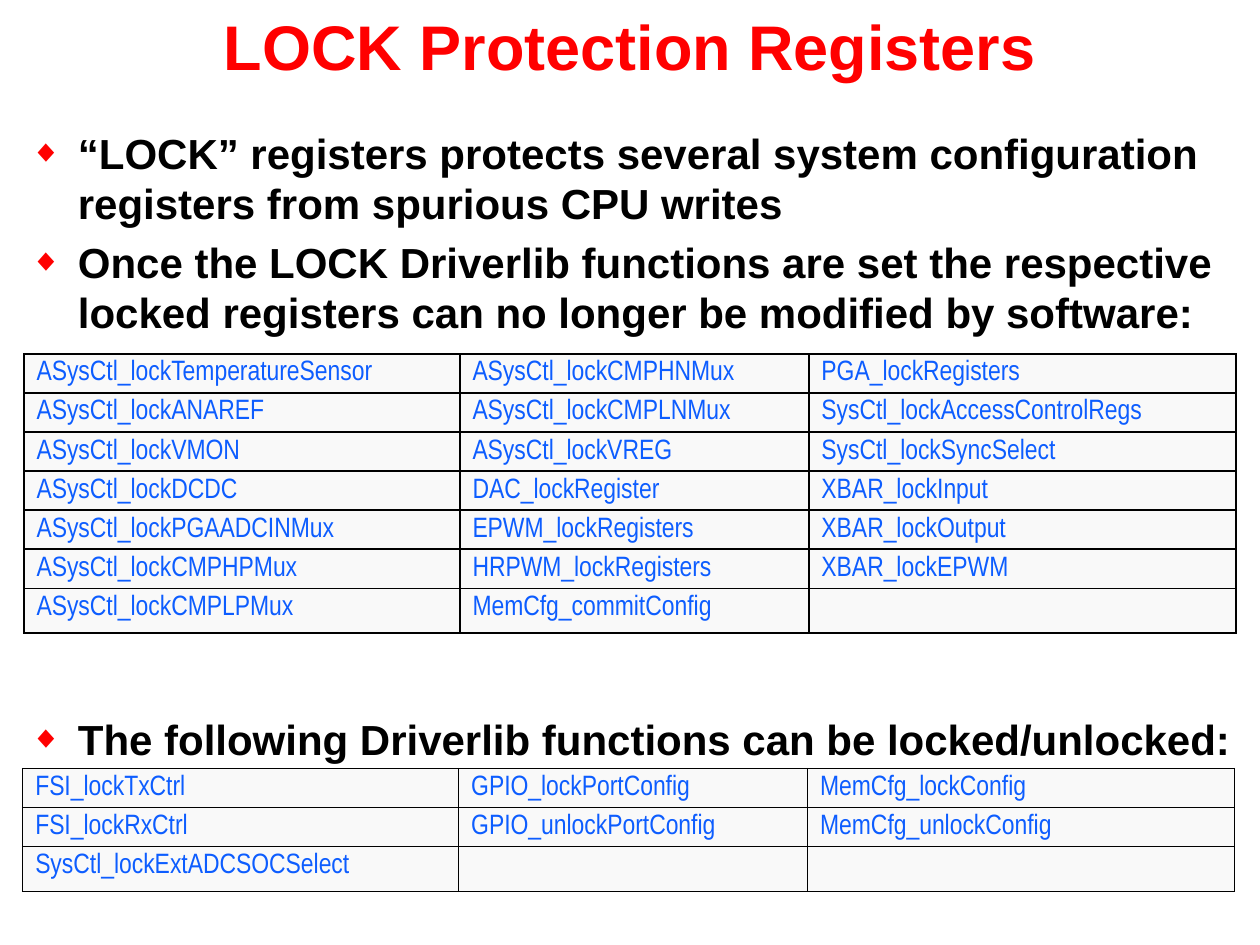
from lxml import etree
from pptx import Presentation
from pptx import util as u
from pptx.dml.color import RGBColor
from pptx.enum import text
from pptx.oxml.ns import qn

COLORS = {"red": "FF0000", "black": "000000", "blue": "0D5DFF", "cell": "F9F9F9"}
TITLE = {"size": u.Pt(36), "name": "Arial", "bold": True, "color": "red"}
BODY = {"size": u.Pt(24), "name": "Arial", "bold": True, "color": "black"}
CODE = {"size": u.Pt(16), "name": "Arial Narrow", "bold": False, "color": "blue"}
COLUMNS = (3.46, 2.77, 3.39)

LOCK_ONCE = [
    ("ASysCtl_lockTemperatureSensor", "ASysCtl_lockCMPHNMux", "PGA_lockRegisters"),
    ("ASysCtl_lockANAREF", "ASysCtl_lockCMPLNMux", "SysCtl_lockAccessControlRegs"),
    ("ASysCtl_lockVMON", "ASysCtl_lockVREG", "SysCtl_lockSyncSelect"),
    ("ASysCtl_lockDCDC", "DAC_lockRegister", "XBAR_lockInput"),
    ("ASysCtl_lockPGAADCINMux", "EPWM_lockRegisters", "XBAR_lockOutput"),
    ("ASysCtl_lockCMPHPMux", "HRPWM_lockRegisters", "XBAR_lockEPWM"),
    ("ASysCtl_lockCMPLPMux", "MemCfg_commitConfig", ""),
]
LOCK_UNLOCK = [
    ("FSI_lockTxCtrl", "GPIO_lockPortConfig", "MemCfg_lockConfig"),
    ("FSI_lockRxCtrl", "GPIO_unlockPortConfig", "MemCfg_unlockConfig"),
    ("SysCtl_lockExtADCSOCSelect", "", ""),
]


def add(parent, tag, **attrs):
    """Append a DrawingML element and return it."""
    return etree.SubElement(parent, qn(tag), attrs)


def add_run(p, words, style):
    """Add a run with the given font values."""
    r = p.add_run()
    r.text = words
    for key, value in style.items():
        if key == "color":
            r.font.color.rgb = RGBColor.from_string(COLORS[value])
        else:
            setattr(r.font, key, value)


def space_before(p, percent):
    """Set paragraph spacing relative to the text size."""
    add(add(p._p.get_or_add_pPr(), "a:spcBef"), "a:spcPct", val=str(percent * 1000))


def add_box(s, box):
    """Add a wrapping text box and return its text frame."""
    tf = s.shapes.add_textbox(*map(u.Inches, box)).text_frame
    tf.word_wrap = True
    return tf


def add_title(s, box, words):
    """Place the centred slide title."""
    tf = add_box(s, box)
    tf.vertical_anchor = text.MSO_ANCHOR.TOP
    tf.margin_top = u.Inches(0.06)
    p = tf.paragraphs[0]
    p.alignment = text.PP_ALIGN.CENTER
    add_run(p, words, TITLE)


def add_bullets(s, box, lines):
    """Place paragraphs with red diamond bullets."""
    tf = add_box(s, box)
    for i, line in enumerate(lines):
        p = tf.add_paragraph() if i else tf.paragraphs[0]
        space_before(p, 20)
        pPr = p._p.get_or_add_pPr()
        pPr.set("marL", str(u.Inches(0.38)))
        pPr.set("indent", str(u.Inches(-0.38)))
        add(add(pPr, "a:buClr"), "a:srgbClr", val=COLORS["red"])
        add(pPr, "a:buSzPct", val="75000")
        add(pPr, "a:buFont", typeface="Arial")
        add(pPr, "a:buChar", char="◆")
        add_run(p, line, BODY)


def style_cell(cell):
    """Give a cell thin black borders, a pale fill and tight margins."""
    tcPr = cell._tc.get_or_add_tcPr()
    for side in ("a:lnL", "a:lnR", "a:lnT", "a:lnB"):
        ln = add(tcPr, side, w=str(u.Pt(1)))
        add(add(ln, "a:solidFill"), "a:srgbClr", val=COLORS["black"])
    cell.fill.solid()
    cell.fill.fore_color.rgb = RGBColor.from_string(COLORS["cell"])
    cell.margin_top, cell.margin_bottom = u.Inches(0.08), u.Inches(0.01)


def add_functions(s, left, top, rows):
    """Place a grid of function names; its last row is slightly taller."""
    heights = [0.31] * (len(rows) - 1) + [0.35]
    box = (left, top, sum(COLUMNS), sum(heights))
    table = s.shapes.add_table(len(rows), len(COLUMNS), *map(u.Inches, box)).table
    table.first_row = table.horz_banding = False
    for column, width in zip(table.columns, COLUMNS):
        column.width = u.Inches(width)
    for row, height, names in zip(table.rows, heights, rows):
        row.height = u.Inches(height)
        for cell, name in zip(row.cells, names):
            style_cell(cell)
            p = cell.text_frame.paragraphs[0]
            if name:
                p.line_spacing = 0.8
                space_before(p, 50)
                add_run(p, name, CODE)
            else:
                add(p._p, "a:endParaRPr", sz="1600")


def main():
    """Build and save the slide."""
    prs = Presentation()
    prs.slide_width, prs.slide_height = u.Inches(10), u.Inches(7.5)
    s = prs.slides.add_slide(prs.slide_layouts[6])
    add_title(s, (0, 0, 10, 0.81), "LOCK Protection Registers")
    add_bullets(s, (0.14, 0.96, 9.7, 1.85), [
        "“LOCK” registers protects several system configuration registers "
        "from spurious CPU writes",
        "Once the LOCK Driverlib functions are set the respective locked "
        "registers can no longer be modified by software:",
    ])
    add_functions(s, 0.19, 2.81, LOCK_ONCE)
    add_functions(s, 0.18, 6.1, LOCK_UNLOCK)
    add_bullets(s, (0.14, 5.61, 9.76, 0.52), [
        "The following Driverlib functions can be locked/unlocked:"])
    prs.save("out.pptx")


main()
